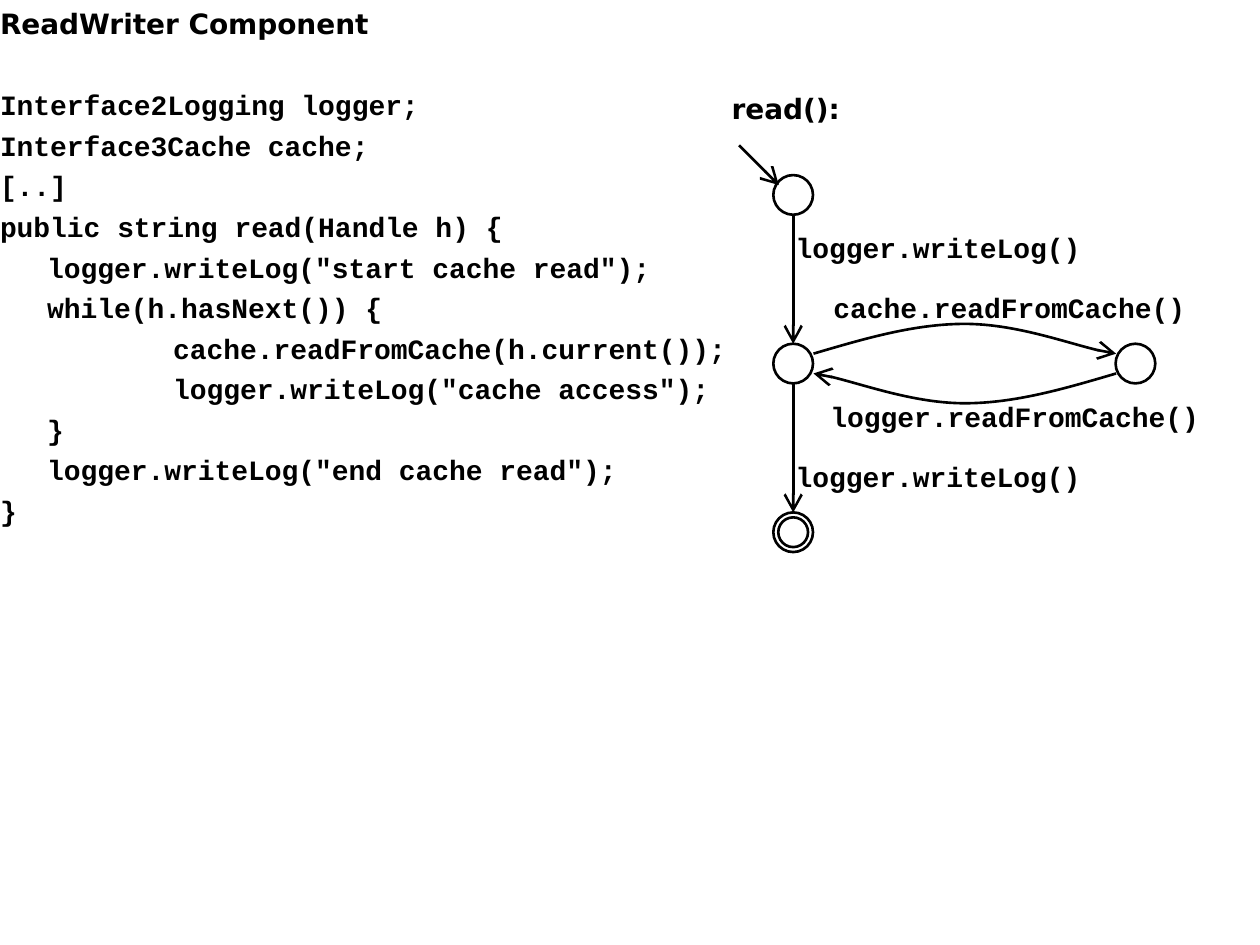
from typing import NamedTuple

from lxml.etree import SubElement
from pptx import Presentation
from pptx.dml.color import RGBColor
from pptx.enum.shapes import MSO_CONNECTOR as Connector, MSO_SHAPE as Preset
from pptx.enum.text import MSO_ANCHOR as Anchor, MSO_AUTO_SIZE as AutoSize, PP_ALIGN as Align
from pptx.oxml.ns import qn
from pptx.util import Cm, Pt

COLORS = {"ink": "000000"}
SANS, MONO = "DejaVu Sans", "Courier New"
RADIUS = 0.4
MAIN_X, CACHE_X = 15.99, 22.89
START_Y, LOOP_Y, FINAL_Y = 3.93, 7.33, 10.73
LABEL_HEIGHT = 0.99
INDENTS = [0, 0.95, 3.49]


class CodeLine(NamedTuple):
    text: str
    level: int = 0


class State(NamedTuple):
    x: float
    y: float
    radius: float = RADIUS


class Arrow(NamedTuple):
    start: tuple[float, float]
    end: tuple[float, float]


class Label(NamedTuple):
    text: str
    left: float
    top: float
    width: float
    font: str = MONO
    inset: float = 0.25


CODE = [
    CodeLine("Interface2Logging logger;"),
    CodeLine("Interface3Cache cache;"),
    CodeLine("[..]"),
    CodeLine("public string read(Handle h) {"),
    CodeLine('logger.writeLog("start cache read");', 1),
    CodeLine("while(h.hasNext()) {", 1),
    CodeLine("cache.readFromCache(h.current());", 2),
    CodeLine('logger.writeLog("cache access");', 2),
    CodeLine("}", 1),
    CodeLine('logger.writeLog("end cache read");', 1),
    CodeLine("}"),
]
STATES = [
    State(MAIN_X, START_Y),
    State(MAIN_X, LOOP_Y),
    State(CACHE_X, LOOP_Y),
    State(MAIN_X, FINAL_Y),
    State(MAIN_X, FINAL_Y, 0.3),
]
ARROWS = [
    Arrow((14.9, 2.93), (15.7, 3.73)),
    Arrow((MAIN_X, START_Y + RADIUS), (MAIN_X, LOOP_Y - RADIUS)),
    Arrow((MAIN_X, LOOP_Y + RADIUS), (MAIN_X, FINAL_Y - RADIUS)),
]
# Each curve is a start point followed by two cubic Bézier segments.
CURVES = [
    [(16.4, 7.13), (17.42, 6.83), (18.43, 6.53), (19.45, 6.53),
     (20.47, 6.53), (21.99, 7.08), (22.5, 7.13)],
    [(22.5, 7.53), (21.48, 7.83), (20.47, 8.13), (19.45, 8.13),
     (18.43, 8.13), (16.91, 7.58), (16.4, 7.53)],
]
LABELS = [
    Label("read():", 14.5, 1.71, 3.6, SANS),
    Label("logger.writeLog()", 15.79, 4.52, 6.81),
    Label("logger.writeLog()", 15.79, 9.13, 6.81),
    Label("cache.readFromCache()", 16.8, 5.73, 7.29, inset=0),
    Label("logger.readFromCache()", 16.49, 7.92, 8.61),
]


def ink() -> RGBColor:
    return RGBColor.from_string(COLORS["ink"])


def place(shape, left: float, top: float, width: float, height: float) -> None:
    shape.left, shape.top = Cm(left), Cm(top)
    shape.width, shape.height = Cm(width), Cm(height)


def format_frame(frame, inset: float) -> None:
    frame.word_wrap = True
    frame.auto_size = AutoSize.NONE
    frame.vertical_anchor = Anchor.TOP
    frame.margin_left = frame.margin_right = Cm(inset)
    frame.margin_top = frame.margin_bottom = Cm(0.13)


def add_span(para, text: str, font: str) -> None:
    para.alignment = Align.LEFT
    span = para.add_run()
    span.text = text
    span.font.name, span.font.size, span.font.bold = font, Pt(16), True
    span.font.color.rgb = ink()


def indent_code(para, level: int) -> None:
    properties = para._p.get_or_add_pPr()
    properties.set("marL", str(Cm(INDENTS[level])))
    properties.set("indent", "0")
    SubElement(properties, qn("a:buNone"))


def style_line(shape, arrowhead: bool = False) -> None:
    shape.line.color.rgb = ink()
    shape.line.width = Pt(1.5)
    if arrowhead:
        SubElement(shape.line._get_or_add_ln(), qn("a:tailEnd"),
                   type="arrow", w="lg", len="lg")


def draw_state(page, state: State) -> None:
    size = 2 * state.radius
    circle = page.shapes.add_shape(
        Preset.OVAL, Cm(state.x - state.radius), Cm(state.y - state.radius), Cm(size), Cm(size))
    circle.shadow.inherit = False
    circle.fill.background()
    style_line(circle)


def draw_arrow(page, arrow: Arrow) -> None:
    line = page.shapes.add_connector(
        Connector.STRAIGHT, *map(Cm, arrow.start), *map(Cm, arrow.end))
    style_line(line, arrowhead=True)
    SubElement(line._element.spPr, qn("a:effectLst"))


def draw_curve(page, points: list[tuple[float, float]]) -> None:
    """Build an outline and turn each three straight segments into one cubic."""
    start, *others = [(Cm(x), Cm(y)) for x, y in points]
    builder = page.shapes.build_freeform(*start)
    builder.add_line_segments(others, close=False)
    curve = builder.convert_to_shape()
    segments = list(curve._element.iter(qn("a:lnTo")))
    outline = segments[0].getparent()
    for first in range(0, len(segments), 3):
        cubic = SubElement(outline, qn("a:cubicBezTo"))
        for segment in segments[first:first + 3]:
            cubic.append(segment[0])
            outline.remove(segment)
    curve.shadow.inherit = False
    curve.fill.background()
    style_line(curve, arrowhead=True)


def draw_label(page, label: Label) -> None:
    box = page.shapes.add_textbox(
        Cm(label.left), Cm(label.top), Cm(label.width), Cm(LABEL_HEIGHT))
    format_frame(box.text_frame, label.inset)
    add_span(box.text_frame.paragraphs[0], label.text, label.font)


def fill_placeholders(page) -> None:
    title, body = page.shapes.title, page.placeholders[1]
    place(title, 0, 0, 17.7, 1.2)
    format_frame(title.text_frame, 0)
    add_span(title.text_frame.paragraphs[0], "ReadWriter Component", SANS)

    place(body, 0, 1.64, 17.7, 17.41)
    frame = body.text_frame
    format_frame(frame, 0)
    for number, line in enumerate(CODE):
        para = frame.add_paragraph() if number else frame.paragraphs[0]
        indent_code(para, line.level)
        para.space_before = Pt(4 if number else 0)
        add_span(para, line.text, MONO)


def main() -> None:
    deck = Presentation()
    deck.slide_width, deck.slide_height = Cm(25.4), Cm(19.05)
    page = deck.slides.add_slide(deck.slide_layouts[1])
    fill_placeholders(page)
    for draw, items in ((draw_state, STATES), (draw_arrow, ARROWS),
                        (draw_curve, CURVES), (draw_label, LABELS)):
        for item in items:
            draw(page, item)
    deck.save("out.pptx")


if __name__ == "__main__":
    main()
